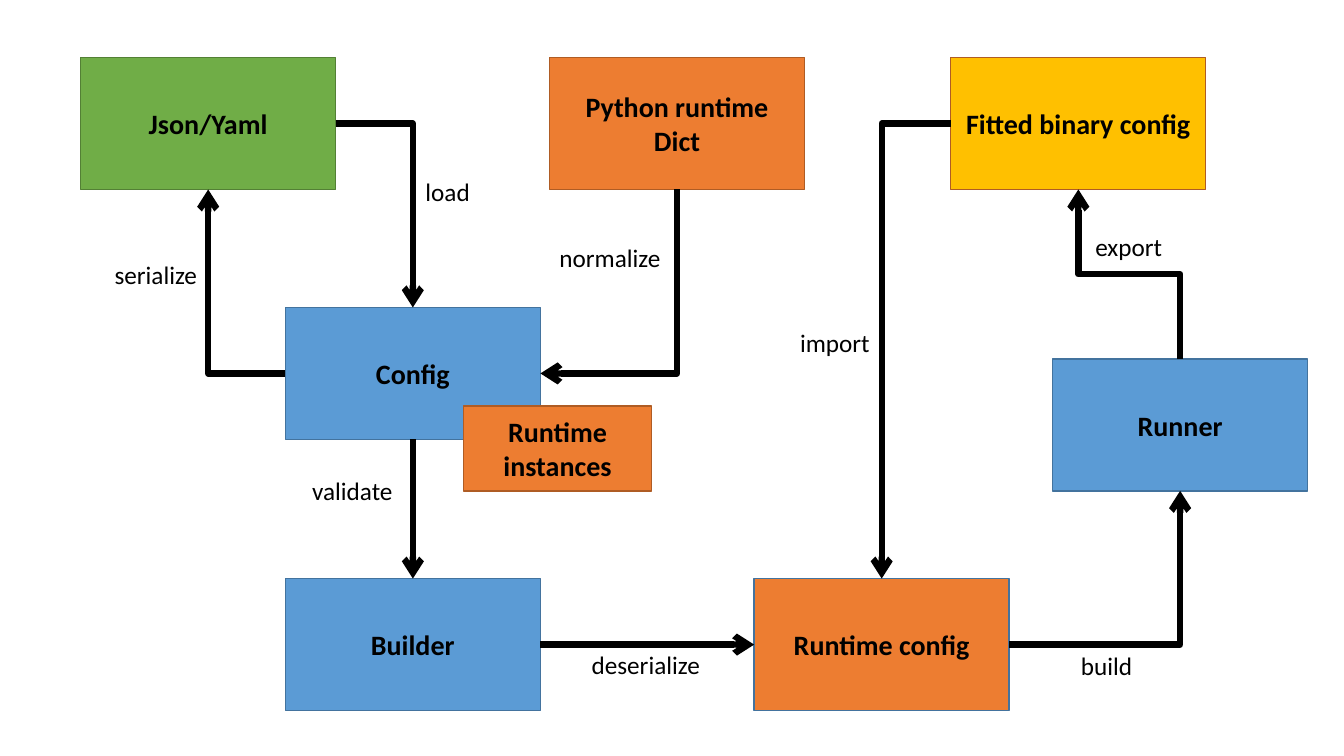
from dataclasses import dataclass
from math import cos, radians, sin

from lxml import etree
from pptx import Presentation
from pptx.dml.color import RGBColor
from pptx.enum.shapes import MSO_CONNECTOR, MSO_SHAPE
from pptx.enum.text import MSO_ANCHOR, MSO_AUTO_SIZE, PP_ALIGN
from pptx.oxml.ns import qn
from pptx.util import Inches, Pt

RECT = MSO_SHAPE.RECTANGLE
STRAIGHT, ELBOW = MSO_CONNECTOR.STRAIGHT, MSO_CONNECTOR.ELBOW
MIDDLE, TOP = MSO_ANCHOR.MIDDLE, MSO_ANCHOR.TOP
CENTER = PP_ALIGN.CENTER
GROW = MSO_AUTO_SIZE.SHAPE_TO_FIT_TEXT


@dataclass(frozen=True)
class Theme:
    font: str = "Calibri"
    ink: str = "000000"
    green: str = "70AD47"
    moss: str = "538035"
    orange: str = "ED7D31"
    rust: str = "AF5C24"
    blue: str = "5B9BD5"
    navy: str = "43739E"
    gold: str = "FFC000"
    title: int = 20
    label: int = 18
    edge: float = 1
    arrow: float = 4.5


THEME = Theme()
AREA = (0.8, 0.57)
BOX = (2.53, 1.31)
SMALL = (1.86, 0.84)

# name: (left, top, size, fill, edge)
NODES = {
    "Json/Yaml": (0, 0, BOX, THEME.green, THEME.moss),
    "Python runtime Dict": (4.65, 0, BOX, THEME.orange, THEME.rust),
    "Fitted binary config": (8.63, 0, BOX, THEME.gold, THEME.rust),
    "Config": (2.03, 2.48, BOX, THEME.blue, THEME.navy),
    "Runtime instances": (3.8, 3.46, SMALL, THEME.orange, THEME.rust),
    "Builder": (2.03, 5.17, BOX, THEME.blue, THEME.navy),
    "Runtime config": (6.68, 5.17, BOX, THEME.orange, THEME.navy),
    "Runner": (9.64, 2.99, BOX, THEME.blue, THEME.navy),
}

# (from, side, to, side, bends)
FLOWS = [
    ("Json/Yaml", "right", "Config", "top", 1),
    ("Config", "left", "Json/Yaml", "bottom", 1),
    ("Python runtime Dict", "bottom", "Config", "right", 1),
    ("Config", "bottom", "Builder", "top", 0),
    ("Builder", "right", "Runtime config", "left", 0),
    ("Runtime config", "right", "Runner", "bottom", 1),
    ("Runner", "top", "Fitted binary config", "bottom", 2),
    ("Fitted binary config", "left", "Runtime config", "top", 1),
]

# text: (left, top, width)
LABELS = {
    "load": (3.31, 1.13, 0.66),
    "serialize": (0.22, 1.95, 1.05),
    "validate": (2.18, 4.1, 1.03),
    "deserialize": (4.95, 5.82, 1.31),
    "normalize": (4.63, 1.79, 1.24),
    "build": (9.81, 5.83, 0.73),
    "export": (9.95, 1.68, 0.89),
    "import": (7.02, 2.63, 0.92),
}
LABEL_H = 0.44

SIDES = {"left": (0, 0.5), "right": (1, 0.5), "top": (0.5, 0), "bottom": (0.5, 1)}
ANGLES = {"right": 0, "bottom": 90, "left": 180, "top": 270}


def write(shape, text, size, bold=False, wrap=True, anchor=MIDDLE):
    frame = shape.text_frame
    frame.word_wrap = wrap
    frame.vertical_anchor = anchor
    para = frame.paragraphs[0]
    para.alignment = CENTER
    run = para.add_run()
    run.text = text
    font = run.font
    font.name, font.size, font.bold = THEME.font, Pt(size), bold
    font.color.rgb = RGBColor.from_string(THEME.ink)


def draw_nodes(slide, area):
    for name, (x, y, size, fill, edge) in NODES.items():
        place = (area[0] + x, area[1] + y, *size)
        node = slide.shapes.add_shape(RECT, *map(Inches, place))
        node.shadow.inherit = False
        node.fill.solid()
        node.fill.fore_color.rgb = RGBColor.from_string(fill)
        node.line.color.rgb = RGBColor.from_string(edge)
        node.line.width = Pt(THEME.edge)
        write(node, name, THEME.title, bold=True)


def port(area, name, side):
    """Return the middle of one side of a node."""
    x, y, (w, h) = NODES[name][:3]
    fx, fy = SIDES[side]
    return area[0] + x + fx * w, area[1] + y + fy * h


def add_arrow(slide, start, end, angle, bends):
    """Draw an arrow that leaves its start at the given angle."""
    (x1, y1), (x2, y2) = start, end
    if bends:
        # Undo the turn about the centre, as the frame is stored unrotated.
        turn = radians(angle)
        dx, dy = x2 - x1, y2 - y1
        w = dx * cos(turn) + dy * sin(turn)
        h = dy * cos(turn) - dx * sin(turn)
        cx, cy = (x1 + x2) / 2, (y1 + y2) / 2
        x1, y1, x2, y2 = cx - w / 2, cy - h / 2, cx + w / 2, cy + h / 2
    kind = ELBOW if bends else STRAIGHT
    arrow = slide.shapes.add_connector(kind, *map(Inches, (x1, y1, x2, y2)))
    arrow.line.color.rgb = RGBColor.from_string(THEME.ink)
    arrow.line.width = Pt(THEME.arrow)
    props = arrow._element.spPr
    if bends:
        props.find(qn("a:xfrm")).set("rot", str(angle * 60000))
        props.find(qn("a:prstGeom")).set("prst", f"bentConnector{bends + 1}")
    line = props.find(qn("a:ln"))
    etree.SubElement(line, qn("a:round"))
    etree.SubElement(line, qn("a:tailEnd"), type="arrow")
    etree.SubElement(props, qn("a:effectLst"))


def draw_flows(slide, area):
    for name, side, goal, entry, bends in FLOWS:
        start, end = port(area, name, side), port(area, goal, entry)
        add_arrow(slide, start, end, ANGLES[side], bends)


def draw_labels(slide, area):
    for text, (x, y, w) in LABELS.items():
        place = (area[0] + x, area[1] + y, w, LABEL_H)
        label = slide.shapes.add_textbox(*map(Inches, place))
        label.text_frame.auto_size = GROW
        write(label, text, THEME.label, wrap=False, anchor=TOP)


def main():
    deck = Presentation()
    deck.slide_width, deck.slide_height = Inches(13.33), Inches(7.5)
    slide = deck.slides.add_slide(deck.slide_layouts[6])
    for draw in (draw_nodes, draw_flows, draw_labels):
        draw(slide, AREA)
    deck.save("out.pptx")


if __name__ == "__main__":
    main()
